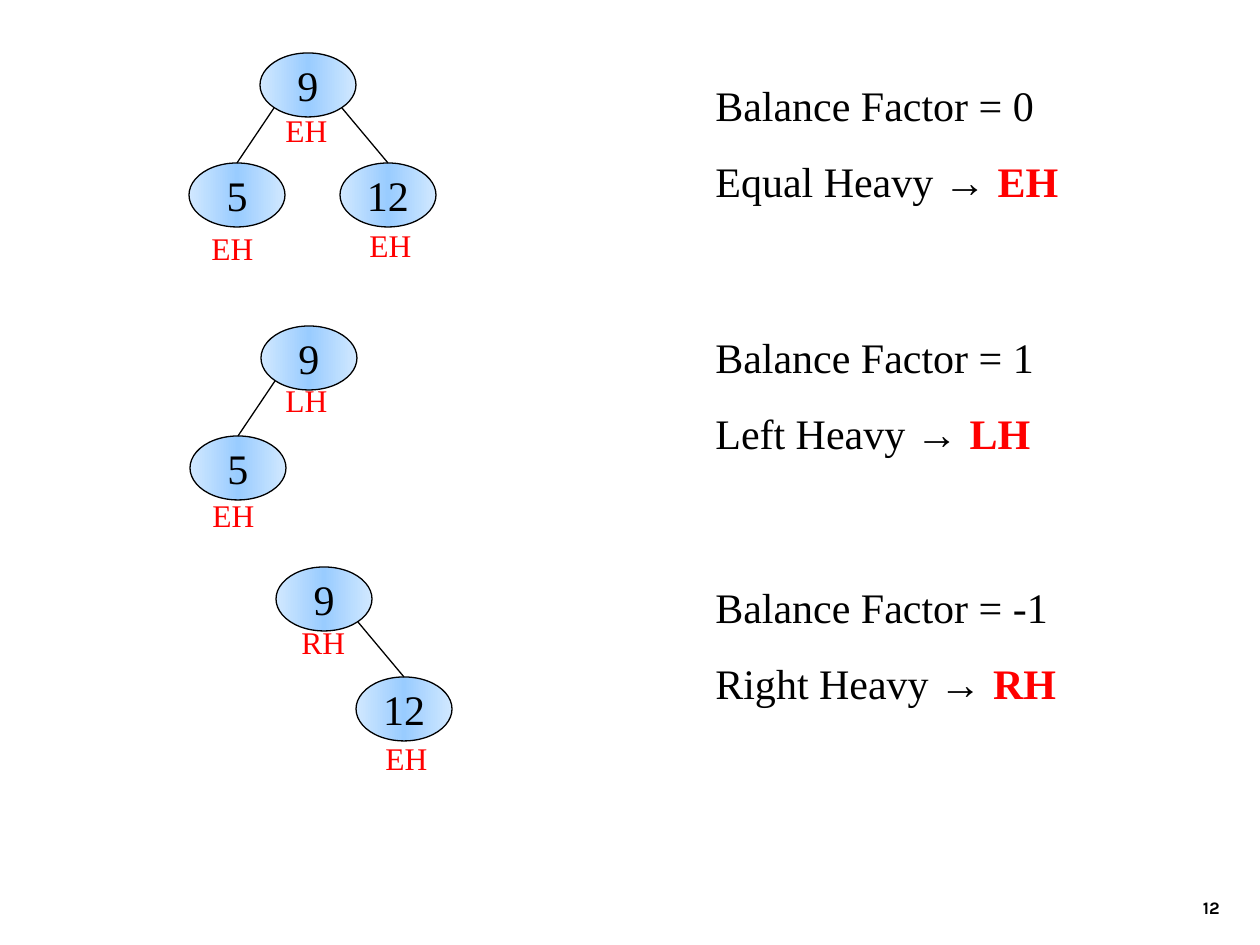
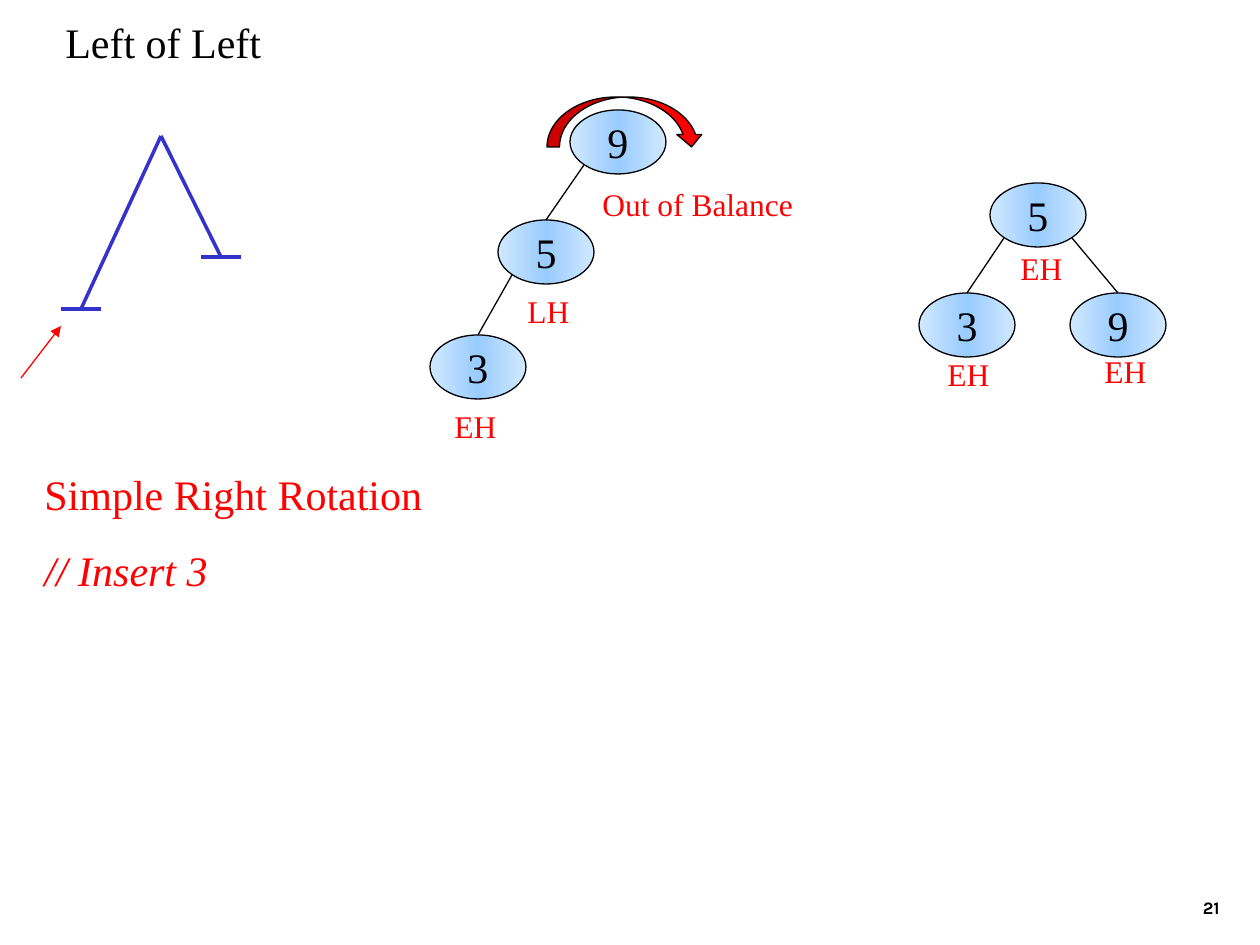
import copy

import pptx
import pptx.dml.color
import pptx.enum.shapes
import pptx.enum.text
import pptx.oxml.ns
import pptx.util

EMU_PER_PX = 914400 / 126
BLACK, RED, BLUE = "000000", "FF0000", "3333CC"
NODE_GRADIENT = [(0, "D1E8FF"), (0.5, "99CCFF"), (1, "D1E8FF")]
SERIF, ARROW_FONT, FOOTER_FONT = "Times New Roman", "Arial", "Karla"
NODE_WIDTH, NODE_HEIGHT = 96, 64
CORNER_X, CORNER_Y = 34, 23  # diagonal point on a node's outline
LABEL_HEIGHT = 51
LEFT, CENTER, RIGHT = (pptx.enum.text.PP_ALIGN.LEFT, pptx.enum.text.PP_ALIGN.CENTER,
                       pptx.enum.text.PP_ALIGN.RIGHT)
rgb = pptx.dml.color.RGBColor.from_string
Shapes = pptx.enum.shapes.MSO_SHAPE
qn = pptx.oxml.ns.qn


def write(shape, paragraphs, size, align=LEFT, space=0, anchor="TOP", wrap=True):
    """Fill a shape with paragraphs of (text, colour, font, style) runs."""
    frame = shape.text_frame
    frame.word_wrap = wrap
    frame.vertical_anchor = getattr(pptx.enum.text.MSO_ANCHOR, anchor)
    for number, runs in enumerate(paragraphs):
        paragraph = frame.add_paragraph() if number else frame.paragraphs[0]
        paragraph.alignment = align
        paragraph.space_before = pptx.util.Pt(space)
        for text, colour, font, style in runs:
            run = paragraph.add_run()
            run.text = text
            run.font.size = pptx.util.Pt(size)
            run.font.name = font
            run.font.color.rgb = rgb(colour)
            run.font.bold = style == "bold"
            run.font.italic = style == "italic"


def draw_line(slide, points, colour=BLACK, width=0.75, arrow=False):
    """Draw a straight line between (x1, y1, x2, y2), given in px."""
    line = slide.shapes.add_connector(pptx.enum.shapes.MSO_CONNECTOR.STRAIGHT,
                                      *[round(v * EMU_PER_PX) for v in points])
    line.line.color.rgb = rgb(colour)
    line.line.width = pptx.util.Pt(width)
    if arrow:
        line.line._get_or_add_ln().append(
            pptx.oxml.parse_xml(f'<a:tailEnd {pptx.oxml.ns.nsdecls("a")} type="triangle"/>'))
    properties = line._element.spPr
    properties.append(properties.makeelement(qn("a:effectLst"), {}))


deck = pptx.Presentation()
deck.slide_width = pptx.util.Inches(10)
deck.slide_height = pptx.util.Inches(7.5)
blank = deck.slide_layouts[6]
factors = deck.slides.add_slide(blank)
rotation = deck.slides.add_slide(blank)

# Trees: value, centre x, centre y, parent's index, balance, label x, label y, label width
trees = [
    (factors, [("9", 308, 85, None, "EH", 273, 105, 73),
               ("5", 237, 195, 0, "EH", 199, 223, 73),
               ("12", 388, 195, 0, "EH", 357, 220, 73)]),
    (factors, [("9", 309, 358, None, "LH", 273, 375, 73),
               ("5", 238, 468, 0, "EH", 200, 490, 73)]),
    (factors, [("9", 324, 599, None, "RH", 289, 617, 73),
               ("12", 404, 709, 0, "EH", 373, 733, 73)]),
    (rotation, [("5", 1038, 215, None, "EH", 1008, 243, 73),
                ("3", 967, 325, 0, "EH", 935, 349, 73),
                ("9", 1118, 325, 0, "EH", 1092, 346, 73)]),
    (rotation, [("9", 618, 142, None, "Out of Balance", 590, 179, 220),
                ("5", 546, 252, 0, "LH", 515, 286, 73),
                ("3", 478, 367, 1, "EH", 442, 401, 73)]),
]
for slide, nodes in trees:
    for value, x, y, parent, balance, label_x, label_y, label_width in nodes:
        box = (x - NODE_WIDTH / 2, y - NODE_HEIGHT / 2, NODE_WIDTH, NODE_HEIGHT)
        node = slide.shapes.add_shape(Shapes.OVAL, *[round(v * EMU_PER_PX) for v in box])
        node.shadow.inherit = False
        node.line.color.rgb = rgb(BLACK)
        node.line.width = pptx.util.Pt(0.75)
        node.fill.gradient()
        node.fill.gradient_angle = 0
        stops = node._element.spPr.find(".//" + qn("a:gsLst"))
        stops.append(copy.deepcopy(stops[0]))
        for stop, (position, colour) in zip(node.fill.gradient_stops, NODE_GRADIENT):
            stop.position = position
            stop.color.rgb = rgb(colour)
        write(node, [[(value, BLACK, SERIF, "")]], 24, CENTER, anchor="MIDDLE", wrap=False)

        # Edge from the parent's lower corner to the top of this node
        if parent is not None:
            parent_x, parent_y = nodes[parent][1:3]
            side = CORNER_X if x > parent_x else -CORNER_X
            draw_line(slide, (parent_x + side, parent_y + CORNER_Y, x, y - NODE_HEIGHT / 2))

        # Balance label
        box = (label_x, label_y, label_width, LABEL_HEIGHT)
        label = slide.shapes.add_textbox(*[round(v * EMU_PER_PX) for v in box])
        write(label, [[(balance, RED, SERIF, "")]], 18, space=11.2)

# Texts beside the trees
captions = [(rotation, (53, 10, 242, 63), [[("Left of Left", BLACK, SERIF, "")]]),
            (rotation, (32, 462, 410, 140), [[("Simple Right Rotation", RED, SERIF, "")],
                                             [("// Insert 3", RED, SERIF, "italic")]])]
for top, factor, heavy_side, code in [(73, "0", "Equal", "EH"), (325, "1", "Left", "LH"),
                                      (575, "-1", "Right", "RH")]:
    captions.append((factors, (703, top, 388, 140), [
        [(f"Balance Factor = {factor}", BLACK, SERIF, "")],
        [(f"{heavy_side} Heavy ", BLACK, SERIF, ""), ("→ ", BLACK, ARROW_FONT, ""),
         (code, RED, SERIF, "bold")]]))
for slide, box, paragraphs in captions:
    caption = slide.shapes.add_textbox(*[round(v * EMU_PER_PX) for v in box])
    write(caption, paragraphs, 24, space=15)

# Sketch of the left-heavy tree, with the place of insertion
APEX_X, APEX_Y, FOOT_HALF = 161, 136, 20
for foot_x, foot_y in [(81, 309), (221, 257)]:
    draw_line(rotation, (APEX_X, APEX_Y, foot_x, foot_y), BLUE, 2)
    draw_line(rotation, (foot_x - FOOT_HALF, foot_y, foot_x + FOOT_HALF, foot_y), BLUE, 2)
draw_line(rotation, (21, 378, 61, 326), RED, arrow=True)

# Rotation arrow over the unbalanced root
turn = rotation.shapes.add_shape(Shapes.CURVED_DOWN_ARROW,
                                 *[round(v * EMU_PER_PX) for v in (547, 97, 157, 50)])
turn.shadow.inherit = False
turn.fill.solid()
turn.fill.fore_color.rgb = rgb(RED)
turn.line.color.rgb = rgb(BLACK)
turn.line.width = pptx.util.Pt(0.75)

# Page numbers
for slide, page in [(factors, "12"), (rotation, "21")]:
    footer = slide.shapes.add_textbox(*[round(v * EMU_PER_PX) for v in (970, 861, 262, 63)])
    write(footer, [[(page, BLACK, FOOTER_FONT, "bold")]], 10, RIGHT, anchor="BOTTOM")

deck.save("out.pptx")
